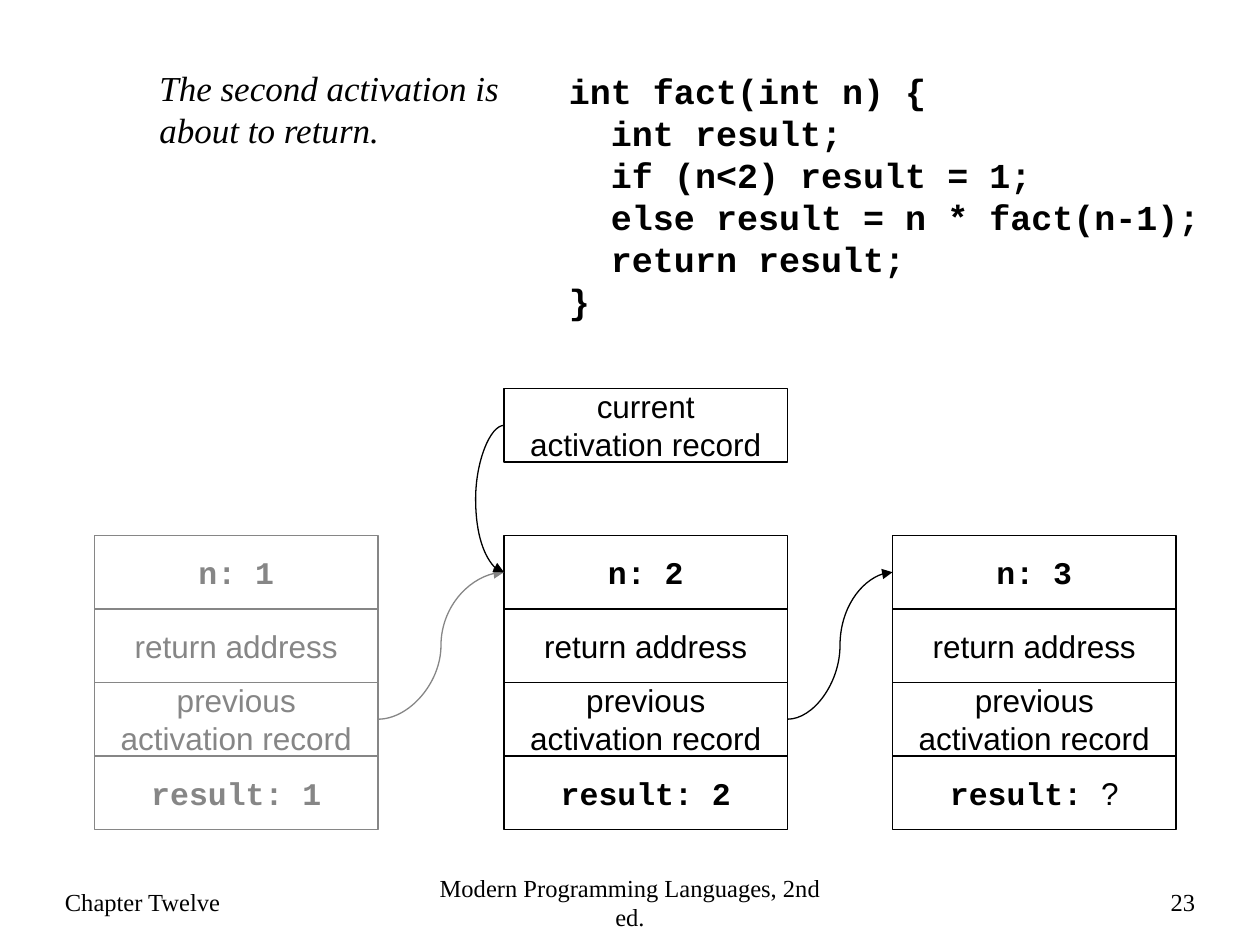
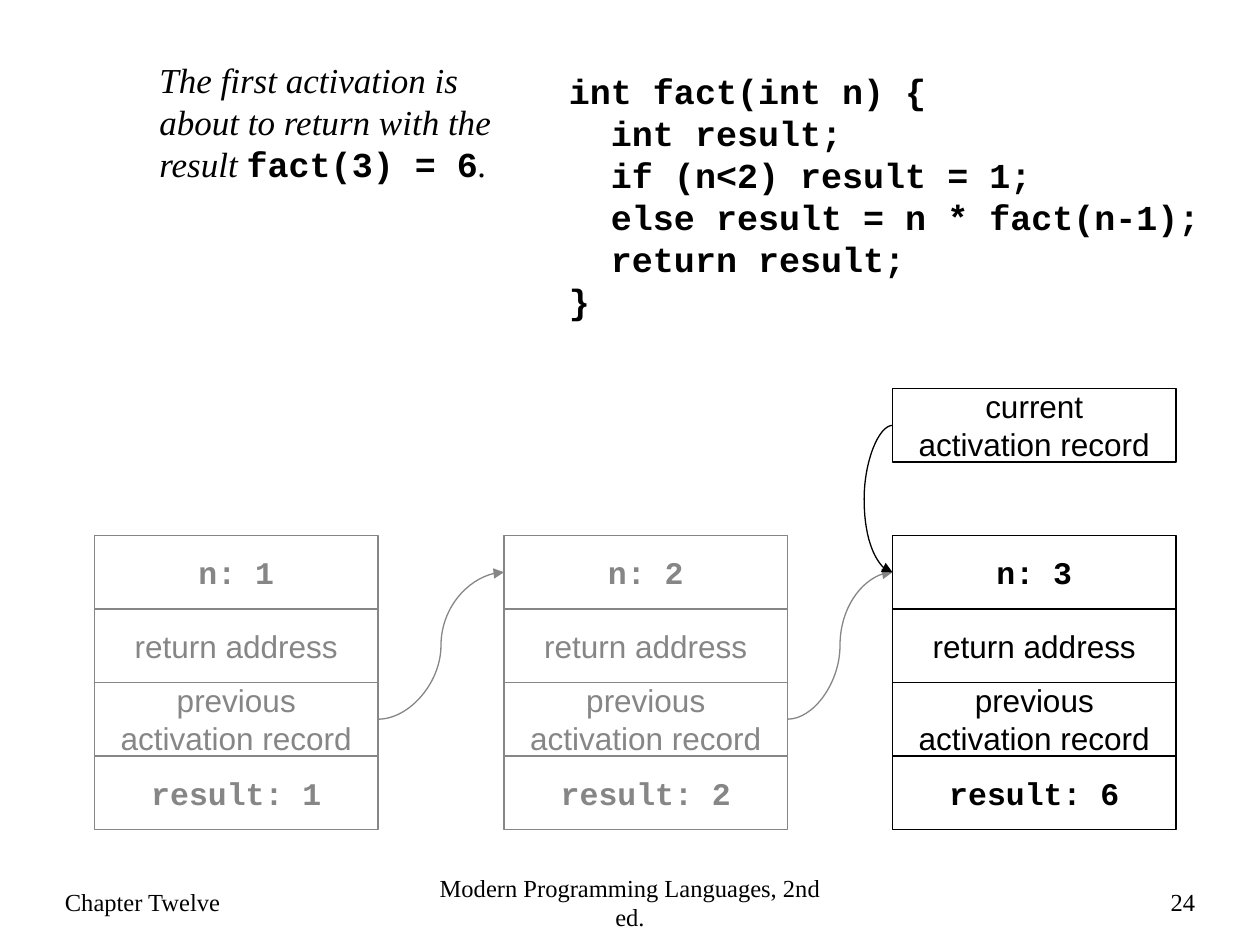
from dataclasses import dataclass

from lxml import etree
from pptx import Presentation
from pptx.dml.color import RGBColor
from pptx.enum.shapes import MSO_CONNECTOR, MSO_SHAPE
from pptx.enum.text import MSO_ANCHOR, MSO_AUTO_SIZE, PP_ALIGN
from pptx.oxml.ns import qn
from pptx.util import Pt

LEFT, CENTER, RIGHT = PP_ALIGN.LEFT, PP_ALIGN.CENTER, PP_ALIGN.RIGHT
TOP, MIDDLE = MSO_ANCHOR.TOP, MSO_ANCHOR.MIDDLE
GROW = MSO_AUTO_SIZE.SHAPE_TO_FIT_TEXT
RECTANGLE, CURVE = MSO_SHAPE.RECTANGLE, MSO_CONNECTOR.CURVE
BLANK_LAYOUT = 6


@dataclass(frozen=True)
class Theme:
    live: RGBColor = RGBColor(0x00, 0x00, 0x00)
    finished: RGBColor = RGBColor(0x86, 0x86, 0x86)
    serif: str = "Times New Roman"
    sans: str = "Arial"
    mono: str = "Courier New"
    footer_size: int = 14
    body_size: int = 20
    cell_size: int = 18
    line_width: float = 0.75


THEME = Theme()
FOOTER = {"name": THEME.serif, "size": Pt(THEME.footer_size)}
NOTE = {"name": THEME.serif, "size": Pt(THEME.body_size), "italic": True}
CODE = {"name": THEME.mono, "size": Pt(THEME.body_size), "bold": True}
LABEL = {"name": THEME.sans, "size": Pt(THEME.cell_size)}
VALUE = {"name": THEME.mono, "size": Pt(THEME.cell_size), "bold": True}

# Grid of the activation records, in points
COLUMNS = (54, 288, 510)
RECORD_TOP, CURRENT_TOP = 306, 222
CELL_WIDTH, CELL_HEIGHT = 162, 42
BULGE = 18          # how far the pointer to the current record bends left
LOOP_WIDTH = 0.125  # a curve needs some width for its bend to scale

SOURCE_CODE = """int fact(int n) {
  int result;
  if (n<2) result = 1;
  else result = n * fact(n-1);
  return result;
}"""


class Builder:
    """Holds the deck, the theme and the page being drawn."""

    def __init__(self, theme):
        self.theme = theme
        self.deck = Presentation()
        self.deck.slide_width, self.deck.slide_height = Pt(720), Pt(540)
        self.page = None

    def new_page(self, number):
        layout = self.deck.slide_layouts[BLANK_LAYOUT]
        self.page = self.deck.slides.add_slide(layout)
        for left, width, align, words in (
            (30, 162, LEFT, "Chapter Twelve"),
            (240, 240, CENTER, "Modern Programming Languages, 2nd ed."),
            (540, 150, RIGHT, str(number)),
        ):
            box = self.page.shapes.add_textbox(Pt(left), Pt(497.5), Pt(width), Pt(36))
            self.fill_text(box, [(words, FOOTER)], align, MIDDLE)

    def fill_text(self, box, spans, align, anchor, color=None):
        """Fill a box with one paragraph of (words, format) spans."""
        frame = box.text_frame
        frame.word_wrap, frame.vertical_anchor = True, anchor
        para = frame.paragraphs[0]
        para.alignment = align
        for words, style in spans:
            for index, line in enumerate(words.split("\n")):
                if index:
                    para.add_line_break()
                span = para.add_run()
                span.text = line
                span.font.color.rgb = color or self.theme.live
                for attribute, value in style.items():
                    setattr(span.font, attribute, value)
        return para

    def body_text(self, left, top, width, height, spans):
        box = self.page.shapes.add_textbox(Pt(left), Pt(top), Pt(width), Pt(height))
        para = self.fill_text(box, spans, LEFT, TOP)
        box.text_frame.auto_size = GROW
        # Relative space before the paragraph: half a line
        before = etree.SubElement(para._p.get_or_add_pPr(), qn("a:spcBef"))
        etree.SubElement(before, qn("a:spcPct"), val="50000")

    def cell(self, left, top, spans, color):
        box = self.page.shapes.add_shape(
            RECTANGLE, Pt(left), Pt(top), Pt(CELL_WIDTH), Pt(CELL_HEIGHT))
        box.shadow.inherit = False
        box.fill.background()
        box.line.color.rgb = color
        box.line.width = Pt(self.theme.line_width)
        self.fill_text(box, spans, CENTER, MIDDLE, color)

    def record(self, left, n, result, color):
        rows = (
            [(f"n: {n}", VALUE)],
            [("return address", LABEL)],
            [("previous activation record", LABEL)],
            [("result: ", VALUE), (result, LABEL if result == "?" else VALUE)],
        )
        for index, spans in enumerate(rows):
            self.cell(left, RECORD_TOP + index * CELL_HEIGHT, spans, color)

    def arrow(self, start, end, color):
        curve = self.page.shapes.add_connector(CURVE, *map(Pt, start + end))
        curve.line.color.rgb = color
        curve.line.width = Pt(self.theme.line_width)
        outline = curve._element.spPr.find(qn("a:ln"))
        etree.SubElement(outline, qn("a:tailEnd"), type="triangle")
        etree.SubElement(curve._element.spPr, qn("a:effectLst"))
        return curve

    def previous_arrow(self, left, next_left, color):
        """Link the third cell of a record to the first cell of the next."""
        self.arrow((left + CELL_WIDTH, RECORD_TOP + 2.5 * CELL_HEIGHT),
                   (next_left, RECORD_TOP + CELL_HEIGHT / 2), color)

    def current_arrow(self, left):
        """Link the current-record box to the record below, bending left."""
        middle = CELL_HEIGHT / 2
        curve = self.arrow((left, CURRENT_TOP + middle),
                           (left + LOOP_WIDTH, RECORD_TOP + middle), self.theme.live)
        properties = curve._element.spPr
        frame = properties.find(qn("a:xfrm"))
        frame.set("rot", "10800000")
        frame.set("flipV", "1")
        guides = properties.find(qn("a:prstGeom")).get_or_add_avLst()
        bend = round(BULGE / LOOP_WIDTH * 100000)
        etree.SubElement(guides, qn("a:gd"), name="adj1", fmla=f"val {bend}")

    def activation_page(self, number, note_top, note_height, note, results, current):
        """Draw the code, a note, and the records; those before current are grey."""
        self.new_page(number)
        self.body_text(318, 36, 384, 151.2, [(SOURCE_CODE, CODE)])
        self.body_text(84, note_top, 210, note_height, note)
        colors = [self.theme.finished if index < current else self.theme.live
                  for index in range(len(COLUMNS))]
        # Records, then the links between them
        for index, left in enumerate(COLUMNS):
            self.record(left, index + 1, results[index], colors[index])
        for left, next_left, color in zip(COLUMNS, COLUMNS[1:], colors):
            self.previous_arrow(left, next_left, color)
        # Pointer to the current record
        self.cell(COLUMNS[current], CURRENT_TOP,
                  [("current\nactivation record", LABEL)], self.theme.live)
        self.current_arrow(COLUMNS[current])


builder = Builder(THEME)

# Second activation returns
builder.activation_page(
    23, 34.5, 55.2, [("The second activation is about to return.", NOTE)],
    ("1", "2", "?"), current=1)

# First activation returns
builder.activation_page(
    24, 30, 79.2,
    [("The first activation is about to return with the result ", NOTE),
     ("fact(3) = 6", CODE), (".", NOTE)],
    ("1", "2", "6"), current=2)

builder.deck.save("out.pptx")
